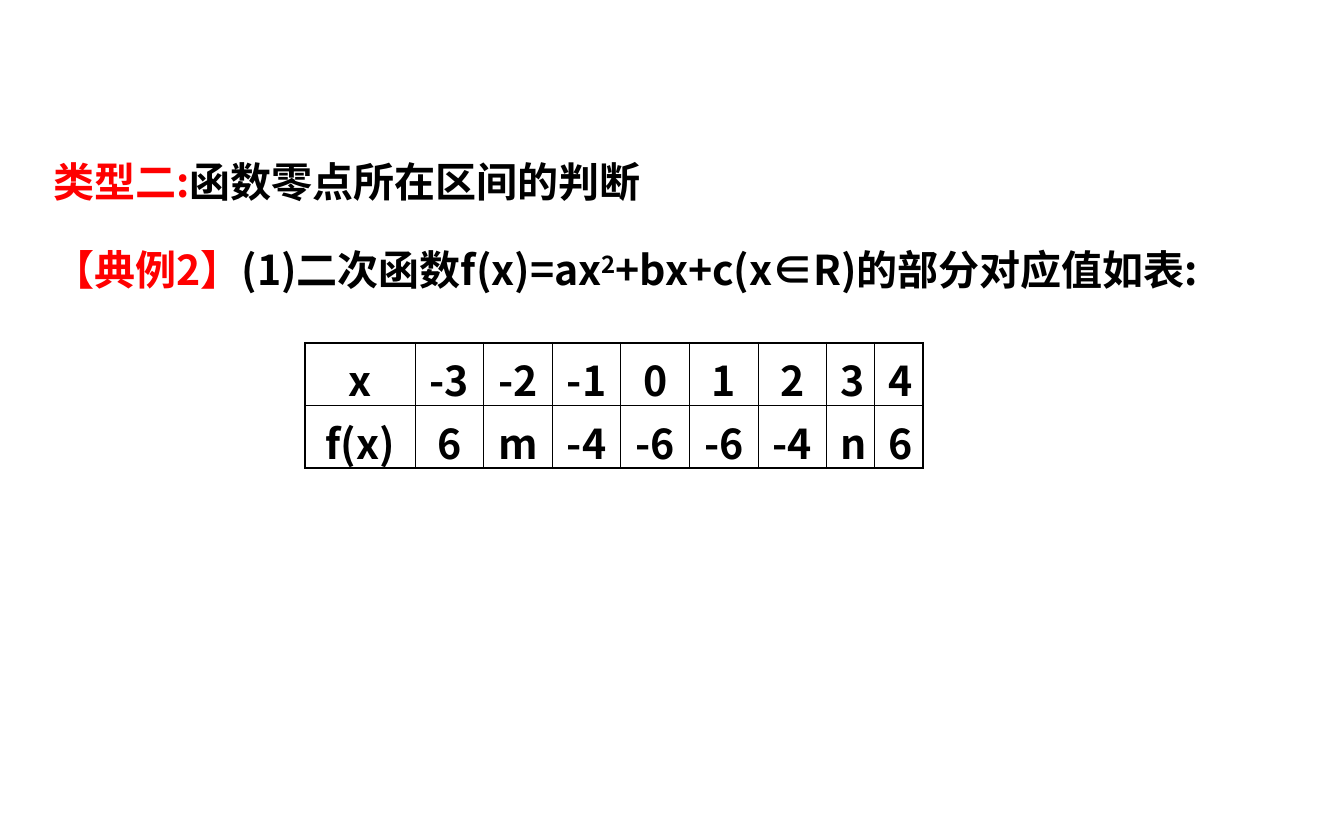
import pptx
import pptx.util
import pptx.dml.color
import pptx.enum.text
import pptx.oxml
import pptx.oxml.ns
from pptx.util import Pt

BLACK, RED = "000000", "FF0000"
THIN, THICK = 0.45, 0.96


def color(value):
    return pptx.dml.color.RGBColor.from_string(value)


def add_xml(parent, tag, **attrs):
    el = pptx.oxml.parse_xml(f"<{tag} {pptx.oxml.ns.nsdecls('a')}/>")
    for name, value in attrs.items():
        el.set(name, str(value))
    parent.append(el)
    return el


class Deck:
    font, size = "Noto Sans CJK SC", 22

    def __init__(self, width, height):
        self.prs = pptx.Presentation()
        self.prs.slide_width, self.prs.slide_height = Pt(width), Pt(height)
        self.s = self.prs.slides.add_slide(self.prs.slide_layouts[6])

    def style(self, r, fill=BLACK):
        r.font.size, r.font.bold, r.font.name = Pt(self.size), True, self.font
        r.font.color.rgb = color(fill)
        add_xml(r.font._element, "a:ea", typeface=self.font)

    def text(self, x, y, w, h, lines, spacing):
        sp = self.s.shapes.add_textbox(Pt(x), Pt(y), Pt(w), Pt(h))
        tf = sp.text_frame
        tf.word_wrap = True
        for i, parts in enumerate(lines):
            p = tf.add_paragraph() if i else tf.paragraphs[0]
            p.line_spacing = spacing
            for text, fill, baseline in parts:
                r = p.add_run()
                r.text = text
                self.style(r, fill)
                if baseline:
                    r.font._element.set("baseline", str(baseline * 1000))

    def border(self, cell, side, width):
        ln = add_xml(cell._tc.get_or_add_tcPr(), f"a:{side}", w=Pt(width))
        fill = add_xml(ln, "a:solidFill")
        add_xml(fill, "a:srgbClr", val=BLACK)

    def table(self, x, y, widths, row_height, rows):
        n_rows, n_cols = len(rows), len(widths)
        frame = self.s.shapes.add_table(n_rows, n_cols, Pt(x), Pt(y),
                                        Pt(sum(widths)), Pt(row_height * n_rows))
        tbl = frame.table
        tbl.first_row = tbl.horz_banding = False
        for column, width in zip(tbl.columns, widths):
            column.width = Pt(width)
        for i, values in enumerate(rows):
            tbl.rows[i].height = Pt(row_height)
            for j, value in enumerate(values):
                cell = tbl.cell(i, j)
                cell.text = value
                cell.vertical_anchor = pptx.enum.text.MSO_ANCHOR.MIDDLE
                p = cell.text_frame.paragraphs[0]
                p.alignment = pptx.enum.text.PP_ALIGN.CENTER
                self.style(p.runs[0])
                # Thick lines on the outside, thin ones between the cells
                outer = {"lnL": j == 0, "lnR": j == n_cols - 1,
                         "lnT": i == 0, "lnB": i == n_rows - 1}
                for side, is_outer in outer.items():
                    self.border(cell, side, THICK if is_outer else THIN)
                cell.fill.background()


def main():
    deck = Deck(720, 450)

    # Heading and problem statement
    deck.text(21.6, 59, 679, 102.2, [
        [("类型二:", RED, 0), ("函数零点所在区间的判断", BLACK, 0)],
        [("【典例2】", RED, 0), ("(1)二次函数f(x)=ax", BLACK, 0),
         ("2", BLACK, 30), ("+bx+c(x∈R)的部分对应值如表:", BLACK, 0)],
    ], spacing=1.8)

    # Table of function values
    deck.table(163.4, 183.6, [59] + [36.75] * 6 + [25.9] * 2, 33.6, [
        ["x", "-3", "-2", "-1", "0", "1", "2", "3", "4"],
        ["f(x)", "6", "m", "-4", "-6", "-6", "-4", "n", "6"],
    ])

    deck.prs.save("out.pptx")


if __name__ == "__main__":
    main()
